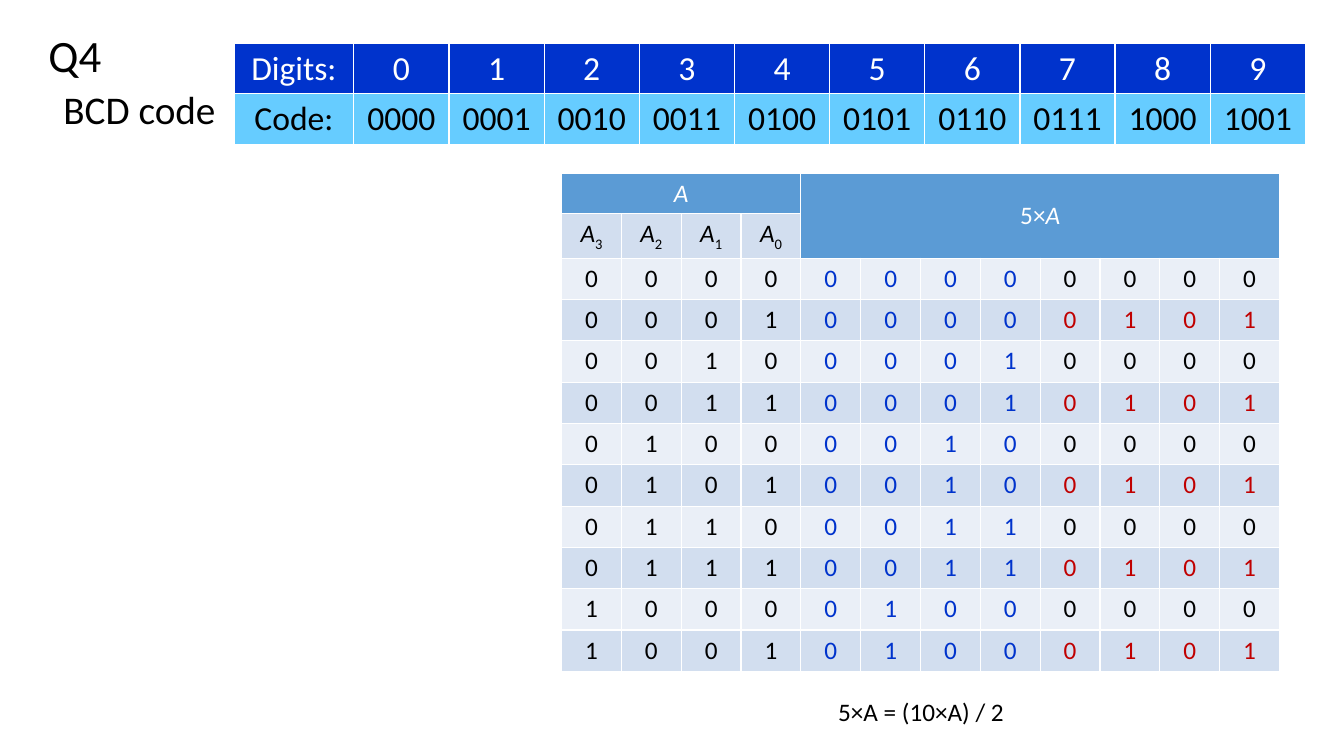
from lxml.etree import SubElement
from pptx import Presentation
from pptx.dml.color import RGBColor
from pptx.enum.text import MSO_ANCHOR, PP_ALIGN
from pptx.oxml.ns import qn
from pptx.util import Inches, Pt

WHITE = RGBColor(0xFF, 0xFF, 0xFF)
BLACK = RGBColor(0x00, 0x00, 0x00)
BLUE = RGBColor(0x00, 0x33, 0xCC)
SKY = RGBColor(0x66, 0xCC, 0xFF)
STEEL = RGBColor(0x5B, 0x9B, 0xD5)
DARK = RGBColor(0xD2, 0xDE, 0xEF)
PALE = RGBColor(0xEA, 0xEF, 0xF7)
RED = RGBColor(0xC0, 0x00, 0x00)


def add_run(para, text, size, color=BLACK, italic=False, sub=False):
    run = para.add_run()
    run.text = text
    font = run.font
    font.name, font.size = "Calibri", Pt(size)
    font.bold, font.italic = False, italic
    font.color.rgb = color
    if sub:
        font._element.set("baseline", "-25000")


def add_label(slide, text, size, box, align=PP_ALIGN.LEFT):
    frame = slide.shapes.add_textbox(*map(Inches, box)).text_frame
    frame.word_wrap = True
    para = frame.paragraphs[0]
    para.alignment = align
    add_run(para, text, size)


def add_title(slide, text, box):
    title = slide.shapes.title
    title.left, title.top, title.width, title.height = map(Inches, box)
    frame = title.text_frame
    frame.vertical_anchor = MSO_ANCHOR.MIDDLE
    para = frame.paragraphs[0]
    para.alignment = PP_ALIGN.LEFT
    para.line_spacing = 0.9
    add_run(para, text, 32)


def add_grid(slide, box, widths, heights):
    shape = slide.shapes.add_table(len(heights), len(widths), *map(Inches, box))
    table = shape.table
    for col, width in zip(table.columns, widths):
        col.width = Inches(width)
    for row, height in zip(table.rows, heights):
        row.height = Inches(height)
    return table


def paint(cell, fill):
    props = cell._tc.get_or_add_tcPr()
    for side in ("a:lnL", "a:lnR", "a:lnT", "a:lnB"):
        line = SubElement(props, qn(side), w=str(Pt(1)))
        solid = SubElement(line, qn("a:solidFill"))
        SubElement(solid, qn("a:srgbClr"), val=str(WHITE))
    cell.fill.solid()
    cell.fill.fore_color.rgb = fill


def write(cell, text, size, color=BLACK, italic=False):
    para = cell.text_frame.paragraphs[0]
    para.alignment = PP_ALIGN.CENTER
    add_run(para, text, size, color, italic)
    return para


def add_codes(slide):
    first, width = 1.19, 10.63
    widths = [first] + [(width - first) / 10] * 10
    table = add_grid(slide, (2.32, 0.43, width, 1), widths, [0.5] * 2)
    rows = [
        (["Digits:"] + [str(n) for n in range(10)], BLUE, WHITE),
        (["Code:"] + [f"{n:04b}" for n in range(10)], SKY, BLACK),
    ]
    for r, (texts, fill, color) in enumerate(rows):
        for c, text in enumerate(texts):
            paint(table.cell(r, c), fill)
            write(table.cell(r, c), text, 24, color)


def add_product(slide):
    width = 7.12
    table = add_grid(slide, (5.57, 1.72, width, 4.86),
                     [width / 12] * 12, [0.33] + [0.41] * 11)

    # Bands of colour
    for r in range(12):
        for c in range(12):
            head = r == 0 or (r == 1 and c > 3)
            paint(table.cell(r, c), STEEL if head else DARK if r % 2 else PALE)

    # Headings
    table.cell(0, 0).merge(table.cell(0, 3))
    table.cell(0, 4).merge(table.cell(1, 11))
    write(table.cell(0, 0), "A", 18, WHITE, True)
    para = write(table.cell(0, 4), "5×", 18, WHITE)
    add_run(para, "A", 18, WHITE, True)
    table.cell(0, 4).vertical_anchor = MSO_ANCHOR.MIDDLE
    for c in range(4):
        para = write(table.cell(1, c), "A", 18, italic=True)
        add_run(para, str(3 - c), 18, sub=True)

    # Each digit and its product, both in BCD
    for n in range(10):
        tens, ones = divmod(5 * n, 10)
        bits = f"{n:04b}{tens:04b}{ones:04b}"
        colors = [BLACK, BLUE, RED if ones else BLACK]
        for c, bit in enumerate(bits):
            write(table.cell(n + 2, c), bit, 18, colors[c // 4])


def main():
    deck = Presentation()
    deck.slide_width, deck.slide_height = Inches(13.33), Inches(7.5)
    slide = deck.slides.add_slide(deck.slide_layouts[5])
    add_label(slide, "BCD code", 28, (0.53, 0.8, 1.88, 0.57))
    add_title(slide, "Q4", (0.38, 0.26, 0.99, 0.63))
    add_codes(slide)
    add_product(slide)
    add_label(slide, "5×A = (10×A) / 2", 18, (7.96, 6.86, 2.35, 0.4),
              PP_ALIGN.CENTER)
    deck.save("out.pptx")


if __name__ == "__main__":
    main()
